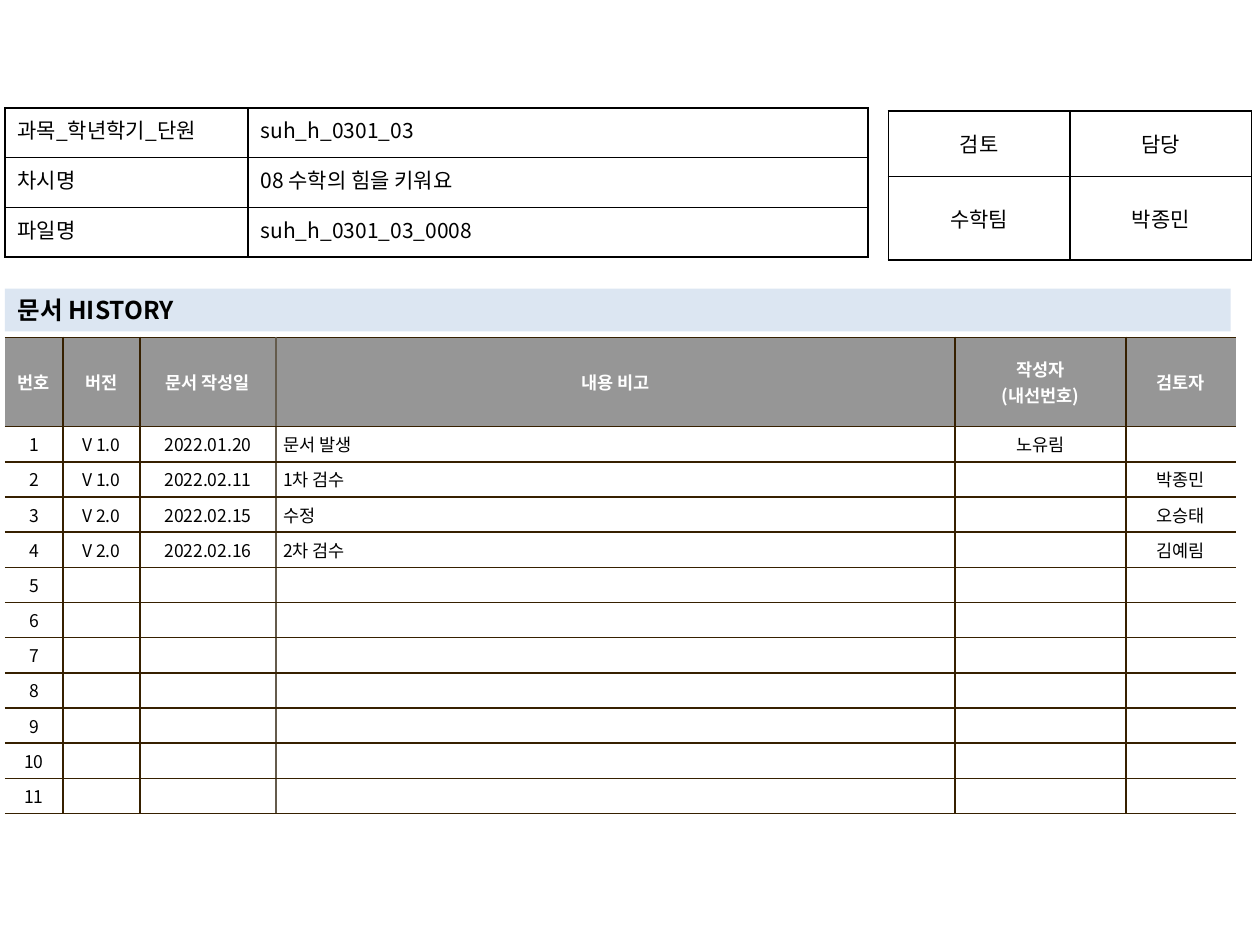
from lxml.etree import SubElement as Sub
from pptx import Presentation
from pptx.dml.color import RGBColor as RGB
from pptx.enum.text import MSO_ANCHOR as Anchor, MSO_AUTO_SIZE as Auto, PP_ALIGN as Align
from pptx.oxml.ns import qn
from pptx.util import Cm, Pt

FONT = "Noto Sans CJK KR"
PLAIN = "{2D5ABB26-0587-4C30-8999-92F81FD0307C}"  # no style, no grid
BLACK = RGB(0x00, 0x00, 0x00)
WHITE = RGB(0xFF, 0xFF, 0xFF)
GREY = RGB(0x96, 0x96, 0x96)
PALE = RGB(0xDC, 0xE6, 0xF2)
BROWN = RGB(0x36, 0x20, 0x00)
TAUPE = RGB(0x64, 0x5B, 0x4C)

SUBJECT = [
    ["과목_학년학기_단원", "suh_h_0301_03"],
    ["차시명", "08 수학의 힘을 키워요"],
    ["파일명", "suh_h_0301_03_0008"],
]
REVIEW = [["검토", "담당"], ["수학팀", "박종민"]]
HEADS = ["번호", "버전", "문서 작성일", "내용 비고", "작성자\n(내선번호)", "검토자"]
LOG = [
    ["V 1.0", "2022.01.20", "문서 발생", "노유림", ""],
    ["V 1.0", "2022.02.11", "1차 검수", "", "박종민"],
    ["V 2.0", "2022.02.15", "수정", "", "오승태"],
    ["V 2.0", "2022.02.16", "2차 검수", "", "김예림"],
]
ROWS = 11
NOTE = 3  # column of the remarks


def write(frame, text, size, color=BLACK, bold=False, align=Align.CENTER):
    frame.text = text
    for para in frame.paragraphs:
        para.alignment = align
        font = para.font
        font.size, font.bold, font.name = Pt(size), bold, FONT
        font.color.rgb = color
        Sub(para._p.pPr.find(qn("a:defRPr")), qn("a:ea"), typeface=FONT)
        if not para.runs:  # keeps an empty row as low as a filled one
            Sub(para._p, qn("a:endParaRPr"), sz=str(size * 100))


def edge(cell, sides):
    """Draw 1 pt borders; sides maps L, R, T, B to a colour or None."""
    props = cell._tc.get_or_add_tcPr()
    for spot, side in enumerate("LRTB"):
        color = sides[side]
        line = Sub(props, qn(f"a:ln{side}"), w=str(Pt(1)))
        props.insert(spot, line)
        if color is None:
            Sub(line, qn("a:noFill"))
        else:
            Sub(Sub(line, qn("a:solidFill")), qn("a:srgbClr"), val=str(color))


def add_grid(slide, left, top, widths, heights):
    frame = slide.shapes.add_table(
        len(heights), len(widths), Cm(left), Cm(top), Cm(sum(widths)), Cm(sum(heights)))
    table = frame.table
    table.first_row = table.horz_banding = False
    table._tbl.tblPr.find(qn("a:tableStyleId")).text = PLAIN
    for col, width in zip(table.columns, widths):
        col.width = Cm(width)
    for row, height in zip(table.rows, heights):
        row.height = Cm(height)
    return table


def add_card(slide, left, top, widths, heights, data, aligns, anchor):
    """Add a black-ruled table of labels."""
    table = add_grid(slide, left, top, widths, heights)
    for r, line in enumerate(data):
        for c, text in enumerate(line):
            cell = table.cell(r, c)
            write(cell.text_frame, text, 12, align=aligns[c])
            cell.vertical_anchor = anchor
            cell.fill.background()
            edge(cell, dict.fromkeys("LRTB", BLACK))


def add_log(slide):
    """Add the history table, open at its left and right."""
    widths = [1.17, 1.55, 2.74, 13.69, 3.45, 2.21]
    table = add_grid(slide, 0.1, 6.8, widths, [1.8] + [0.63] * ROWS)
    blank = [""] * (len(HEADS) - 1)
    body = LOG + [blank] * (ROWS - len(LOG))
    data = [HEADS] + [[str(n), *line] for n, line in enumerate(body, 1)]
    rules = [None, BROWN, BROWN, TAUPE, BROWN, BROWN, None]
    for r, line in enumerate(data):
        head = r == 0
        for c, text in enumerate(line):
            cell = table.cell(r, c)
            align = Align.LEFT if c == NOTE and not head else Align.CENTER
            write(cell.text_frame, text, 10, WHITE if head else BLACK, head, align)
            cell.vertical_anchor = Anchor.MIDDLE
            cell.margin_left = cell.margin_right = Cm(0.15)
            cell.margin_top = cell.margin_bottom = Cm(0.1)
            cell.fill.solid()
            cell.fill.fore_color.rgb = GREY if head else WHITE
            edge(cell, {"L": rules[c], "R": rules[c + 1], "T": BROWN, "B": BROWN})


def set_title(slide, text):
    title = slide.shapes.title
    title.left, title.top, title.width, title.height = Cm(0.1), Cm(5.82), Cm(24.71), Cm(0.86)
    title.fill.solid()
    title.fill.fore_color.rgb = PALE
    frame = title.text_frame
    frame.auto_size = Auto.NONE
    frame.vertical_anchor = Anchor.MIDDLE
    write(frame, text, 14, bold=True, align=Align.LEFT)


def main():
    deck = Presentation()
    deck.slide_width, deck.slide_height = Cm(25.4), Cm(19.05)
    slide = deck.slides.add_slide(deck.slide_layouts[5])
    set_title(slide, "문서 HISTORY")
    add_log(slide)
    add_card(slide, 17.91, 2.24, [3.66] * 2, [1.32, 1.68], REVIEW,
             [Align.CENTER] * 2, Anchor.MIDDLE)
    add_card(slide, 0.1, 2.18, [4.9, 12.5], [1] * 3, SUBJECT,
             [Align.JUSTIFY, Align.LEFT], Anchor.TOP)
    deck.save("out.pptx")


if __name__ == "__main__":
    main()
